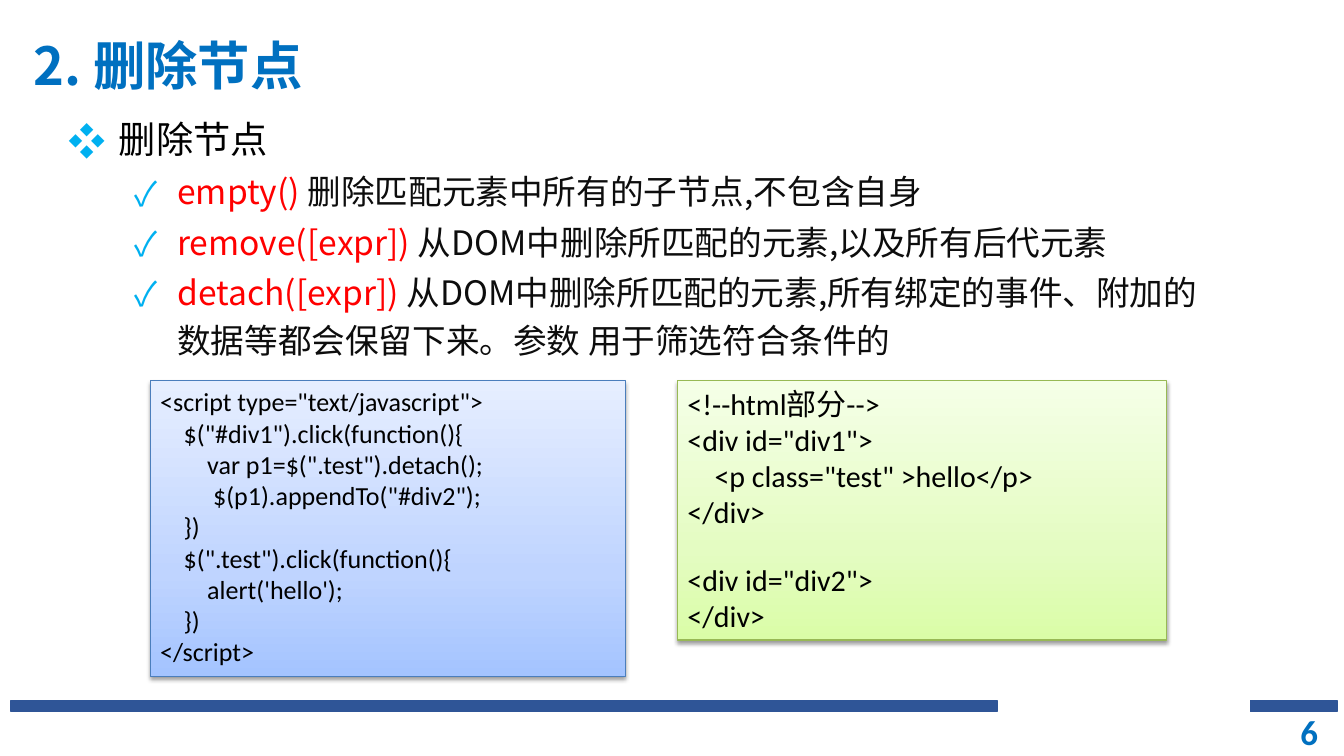
from copy import deepcopy

from lxml import etree
from pptx import Presentation
from pptx.dml import color
from pptx.enum import shapes, text
from pptx.oxml import ns
from pptx.util import Inches, Pt

HUES = {"bar": "2F5597", "title": "0070C0", "mark": "00B0F0", "call": "FF0000",
        "note": "0D0D0D", "ink": "000000"}
BLUE = {"stops": ["A4C4FF", "BFD4FF", "E6EEFF"], "line": "4B7EBC"}
GREEN = {"stops": ["DAFDA7", "E4FCC2", "F5FFE7"], "line": "98B955"}
CJK = "Noto Sans CJK SC"
LATIN = "Calibri"
SPACE = 0.226

POINTS = [
    ("empty()", " 删除匹配元素中所有的子节点,不包含自身"),
    ("remove([expr]) ", "从DOM中删除所匹配的元素,以及所有后代元素"),
    ("detach([expr]) ", "从DOM中删除所匹配的元素,所有绑定的事件、附加的数据等都会保留下来。"
                        "参数 用于筛选符合条件的"),
]
SCRIPT = [
    (0, '<script type="text/javascript">'),
    (4, '$("#div1").click(function(){'),
    (8, 'var p1=$(".test").detach();'),
    (9, '$(p1).appendTo("#div2");'),
    (4, "})"),
    (4, '$(".test").click(function(){'),
    (8, "alert('hello');"),
    (4, "})"),
    (0, "</script>"),
]
MARKUP = [
    (0, "<!--html部分-->"),
    (0, '<div id="div1">'),
    (4, '<p class="test" >hello</p>'),
    (0, "</div>"),
    (0, '<div id="div2">'),
    (0, "</div>"),
]


def rgb(code):
    """Turn a hex string into a colour."""
    return color.RGBColor.from_string(code)


def node(parent, tag, **attrs):
    """Append a drawing element to a parent."""
    return etree.SubElement(parent, ns.qn("a:" + tag), attrs)


def style(run, size, hue, face=CJK, bold=False):
    """Set the font of a run."""
    font = run.font
    font.size, font.name, font.bold = Pt(size), face, bold
    font.color.rgb = rgb(HUES[hue])
    node(run._r.get_or_add_rPr(), "ea", typeface=CJK)


def indent(para, left, hang=0):
    """Set the left margin and hanging indent of a paragraph."""
    props = para._p.get_or_add_pPr()
    props.set("marL", str(Inches(left)))
    props.set("indent", str(Inches(-hang)))
    return props


def bullet(para, mark, left, hang):
    """Give a paragraph its spacing and coloured bullet."""
    para.line_spacing = 1.2
    para.space_before = Pt(1.3)
    props = indent(para, left, hang)
    node(node(props, "buClr"), "srgbClr", val=HUES["mark"])
    node(props, "buFont", typeface=CJK)
    node(props, "buChar", char=mark)


def header(slide, box):
    """Place the slide title."""
    title = slide.shapes.title
    title.left, title.top, title.width, title.height = map(Inches, box)
    frame = title.text_frame
    frame.text = "2. 删除节点"
    frame.auto_size = text.MSO_AUTO_SIZE.NONE
    frame.vertical_anchor = text.MSO_ANCHOR.MIDDLE
    para = frame.paragraphs[0]
    para.alignment = text.PP_ALIGN.LEFT
    style(para.runs[0], 37.4, "title", bold=True)


def outline(slide, box):
    """Place the bulleted list of methods."""
    frame = slide.shapes.add_textbox(*map(Inches, box)).text_frame
    frame.word_wrap = True
    head = frame.paragraphs[0]
    head.text = "删除节点"
    bullet(head, "❖", 0.5, 0.5)
    style(head.runs[0], 26.6, "ink")
    for parts in POINTS:
        para = frame.add_paragraph()
        para.level = 1
        bullet(para, "✓", 1.08, 0.42)
        for part, hue in zip(parts, ("call", "note")):
            run = para.add_run()
            run.text = part
            style(run, 24, hue)


def shade(panel, look):
    """Give a panel its gradient, border and shadow."""
    fill = panel.fill
    fill.gradient()
    fill.gradient_angle = 90
    props = panel._element.spPr
    first = props.find(".//" + ns.qn("a:gs"))
    first.addnext(deepcopy(first))
    for stop, place, hue in zip(fill.gradient_stops, (0, 0.35, 1), look["stops"]):
        stop.position = place
        stop.color.rgb = rgb(hue)
    panel.line.color.rgb = rgb(look["line"])
    panel.line.width = Pt(0.75)
    panel.shadow.inherit = False
    glow = node(props.find(ns.qn("a:effectLst")), "outerShdw", blurRad=str(Pt(3.1)),
                dist=str(Pt(1.6)), dir="5400000", rotWithShape="0")
    node(node(glow, "srgbClr", val=HUES["ink"]), "alpha", val="38000")


def code(slide, box, look, lines, size, gap=None):
    """Place a code panel, with extra room before the line numbered gap."""
    panel = slide.shapes.add_shape(shapes.MSO_SHAPE.RECTANGLE, *map(Inches, box))
    shade(panel, look)
    frame = panel.text_frame
    frame.word_wrap = True
    frame.vertical_anchor = text.MSO_ANCHOR.TOP
    frame.text = "\n".join(line for _, line in lines)
    for row, (para, (depth, _)) in enumerate(zip(frame.paragraphs, lines)):
        para.alignment = text.PP_ALIGN.LEFT
        indent(para, depth * SPACE * size / 72)
        if row == gap:
            para.space_before = Pt(22.7)
        style(para.runs[0], size, "ink", LATIN)


def footer(slide, box):
    """Place the two bars and the page number."""
    left, top, width, height = box
    for start, span in ((left, 9.78), (left + width - 0.86, 0.86)):
        bar = slide.shapes.add_shape(shapes.MSO_SHAPE.RECTANGLE,
                                     *map(Inches, (start, top, span, 0.11)))
        bar.fill.solid()
        bar.fill.fore_color.rgb = bar.line.color.rgb = rgb(HUES["bar"])
        bar.line.width = Pt(1)
        bar.shadow.inherit = False
    area = (left + width - 3.2, top + 0.11, 3.11, height - 0.11)
    frame = slide.shapes.add_textbox(*map(Inches, area)).text_frame
    frame.word_wrap = True
    frame.vertical_anchor = text.MSO_ANCHOR.MIDDLE
    frame.text = "6"
    para = frame.paragraphs[0]
    para.alignment = text.PP_ALIGN.RIGHT
    style(para.runs[0], 24.9, "title", LATIN, True)


def main():
    """Build the slide and save it."""
    deck = Presentation()
    deck.slide_width, deck.slide_height = Inches(13.33), Inches(7.5)
    slide = deck.slides.add_slide(deck.slide_layouts[5])
    footer(slide, (0.11, 6.95, 13.15, 0.51))
    header(slide, (0.23, 0.02, 12, 1.25))
    outline(slide, (0.58, 1.02, 11.65, 2.76))
    code(slide, (6.72, 3.78, 4.85, 2.57), GREEN, MARKUP, 21.4, gap=4)
    code(slide, (1.49, 3.78, 4.71, 2.93), BLUE, SCRIPT, 18.6)
    deck.save("out.pptx")


if __name__ == "__main__":
    main()
